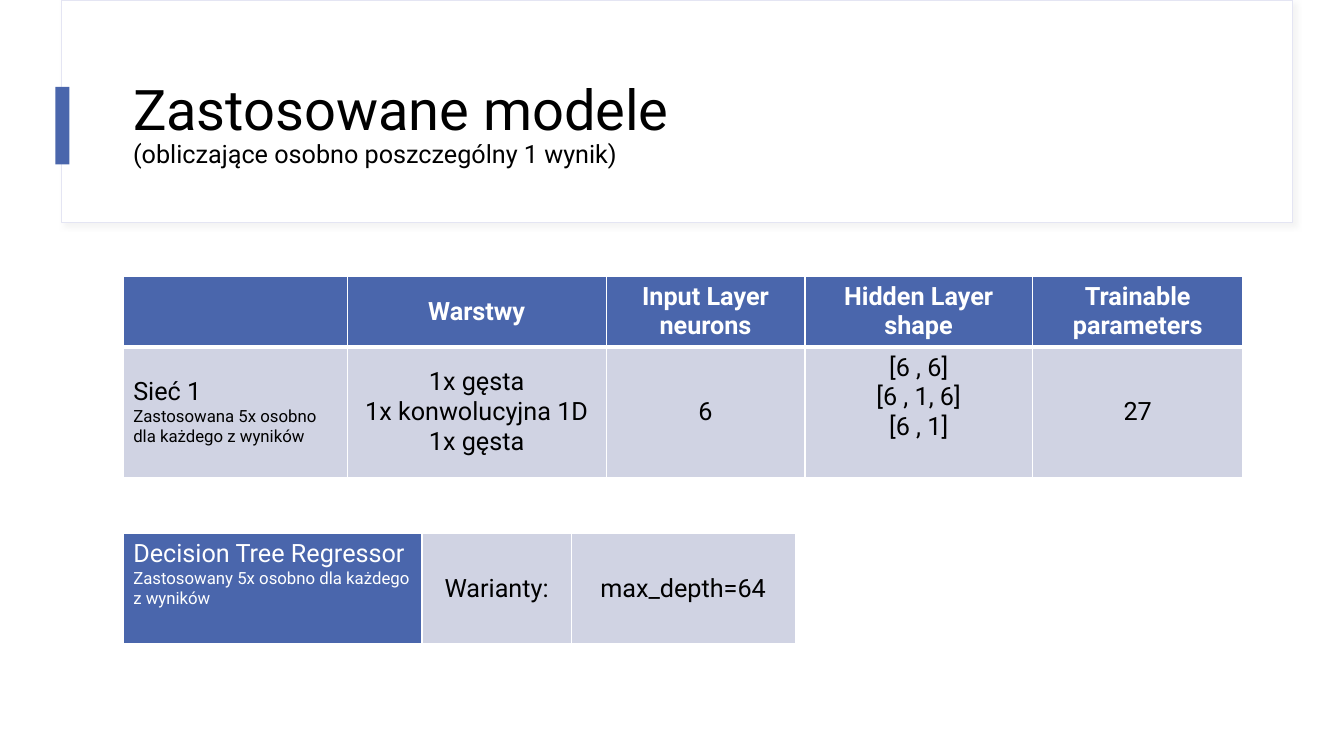
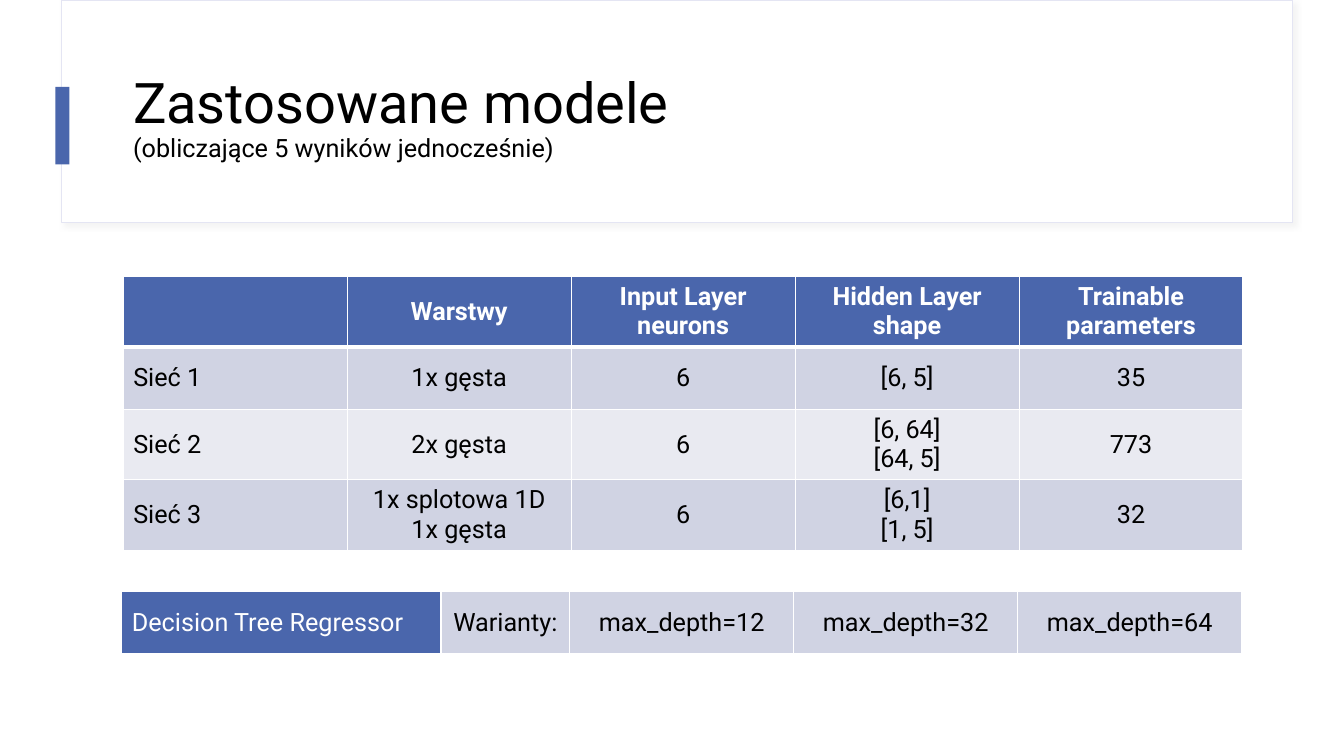
from lxml.etree import SubElement
from pptx import Presentation
from pptx.dml.color import RGBColor
from pptx.enum.shapes import MSO_SHAPE
from pptx.enum.text import MSO_ANCHOR, PP_ALIGN
from pptx.oxml import parse_xml
from pptx.oxml.ns import nsdecls, qn
from pptx.util import Pt

# Shared look
FONT = "Roboto"
BLUE, PALE, LIGHT = "4A66AC", "D0D3E3", "E9EAF1"
WHITE, BLACK, EDGE, SHADE = "FFFFFF", "000000", "E4E5F3", "D9D9D9"
LEFT, TOP, COL = 88, 197.3, 160
LINE, PAD = 21.1, 3.6
HEAD = ["", "Warstwy", "Input Layer\nneurons", "Hidden Layer\nshape",
        "Trainable parameters"]


def color(code):
    return RGBColor.from_string(code)


def style(para, size, code, bold=False):
    font = para.font
    font.name, font.size, font.bold = FONT, Pt(size), bold
    font.color.rgb = color(code)


def box(slide, x, y, w, h, fill, edge=None):
    shape = slide.shapes.add_shape(MSO_SHAPE.RECTANGLE, Pt(x), Pt(y), Pt(w), Pt(h))
    shape.shadow.inherit = False
    shape.fill.solid()
    shape.fill.fore_color.rgb = color(fill)
    if edge:
        shape.line.color.rgb = color(edge)
        shape.line.width = Pt(0.75)
    else:
        shape.line.fill.background()
    return shape


def shadow(shape):
    effects = shape._element.spPr.find(qn("a:effectLst"))
    outer = SubElement(effects, qn("a:outerShdw"), blurRad=str(Pt(4)),
                       dist=str(Pt(3)), dir="2700000", algn="tl", rotWithShape="0")
    tint = SubElement(outer, qn("a:srgbClr"), val=SHADE)
    SubElement(tint, qn("a:alpha"), val="30000")


def header(slide, note, height):
    # Title band with accent bar
    shadow(box(slide, 44, 0, 879, 159, WHITE, EDGE))
    box(slide, 39.5, 62, 10, 55.5, BLUE)
    # Title and its note
    frame = slide.shapes.add_textbox(Pt(LEFT), Pt(43.2), Pt(800), Pt(height)).text_frame
    frame.word_wrap = True
    frame.vertical_anchor = MSO_ANCHOR.MIDDLE
    frame.text = f"Zastosowane modele\n{note}"
    for para, size in zip(frame.paragraphs, (40, 18)):
        para.line_spacing = 0.9
        style(para, size, BLACK)


def border(cell, base):
    props = cell._tc.get_or_add_tcPr()
    for spot, (side, width) in enumerate(zip("LRTB", (1, 1, 1, base))):
        props.insert(spot, parse_xml(
            f'<a:ln{side} {nsdecls("a")} w="{Pt(width)}"><a:solidFill>'
            f'<a:srgbClr val="{WHITE}"/></a:solidFill></a:ln{side}>'))


def fill(cell, text, back, label, head):
    cell.text = text
    cell.vertical_anchor = MSO_ANCHOR.MIDDLE
    cell.fill.solid()
    cell.fill.fore_color.rgb = color(back)
    ink = WHITE if back == BLUE else BLACK
    for spot, para in enumerate(cell.text_frame.paragraphs):
        para.alignment = PP_ALIGN.LEFT if label else PP_ALIGN.CENTER
        style(para, 12 if label and spot else 18, ink, head)
    border(cell, 3 if head else 1)


def grid(slide, x, y, cols, heights, rows, shade, head=True):
    """Draw a table; shade(row, col) gives each cell's fill."""
    table = slide.shapes.add_table(len(rows), len(cols), Pt(x), Pt(y),
                                   Pt(sum(cols)), Pt(sum(heights))).table
    for col, width in zip(table.columns, cols):
        col.width = Pt(width)
    for r, (height, row) in enumerate(zip(heights, rows)):
        table.rows[r].height = Pt(height)
        for c, text in enumerate(row):
            fill(table.cell(r, c), text, shade(r, c), c == 0, head and r == 0)
    return table


def banded(r, c):
    return BLUE if r == 0 else (LIGHT, PALE)[r % 2]


def labeled(r, c):
    return PALE if c else BLUE


def lift(cell):
    # Raise the text by keeping one line free below it
    cell.margin_bottom = Pt(PAD + LINE)


def tall(lines):
    return lines * LINE + 2 * PAD


def single(slide):
    header(slide, "(obliczające osobno poszczególny 1 wynik)", 92.9)
    nets = grid(slide, LEFT, TOP, [160, 185, 142, 162.5, 150.5], [tall(2), tall(4)], [
        HEAD,
        ["Sieć 1\nZastosowana 5x osobno dla każdego z wyników",
         "1x gęsta\n1x konwolucyjna 1D\n1x gęsta", "6",
         "[6 , 6]\n[6 , 1, 6]\n[6 , 1]", "27"],
    ], banded)
    lift(nets.cell(1, 3))
    tree = grid(slide, LEFT, 381, [213.5, 106.5, COL], [77], [
        ["Decision Tree Regressor\nZastosowany 5x osobno dla każdego z wyników",
         "Warianty:", "max_depth=64"],
    ], labeled, head=False)
    lift(tree.cell(0, 0))


def joint(slide):
    header(slide, "(obliczające 5 wyników jednocześnie)", 84.2)
    grid(slide, LEFT, TOP, [COL] * 5, [tall(2), 44.6, tall(2), tall(2)], [
        HEAD,
        ["Sieć 1", "1x gęsta", "6", "[6, 5]", "35"],
        ["Sieć 2", "2x gęsta", "6", "[6, 64]\n[64, 5]", "773"],
        ["Sieć 3", "1x splotowa 1D\n1x gęsta", "6", "[6,1]\n[1, 5]", "32"],
    ], banded)
    depths = [f"max_depth={depth}" for depth in (12, 32, 64)]
    grid(slide, LEFT - 1, 422.5, [228, 92] + [COL] * 3, [44.6],
         [["Decision Tree Regressor", "Warianty:"] + depths], labeled, head=False)


def main():
    deck = Presentation()
    deck.slide_width, deck.slide_height = Pt(960), Pt(540)
    for build in (single, joint):
        build(deck.slides.add_slide(deck.slide_layouts[6]))
    deck.save("out.pptx")


if __name__ == "__main__":
    main()
